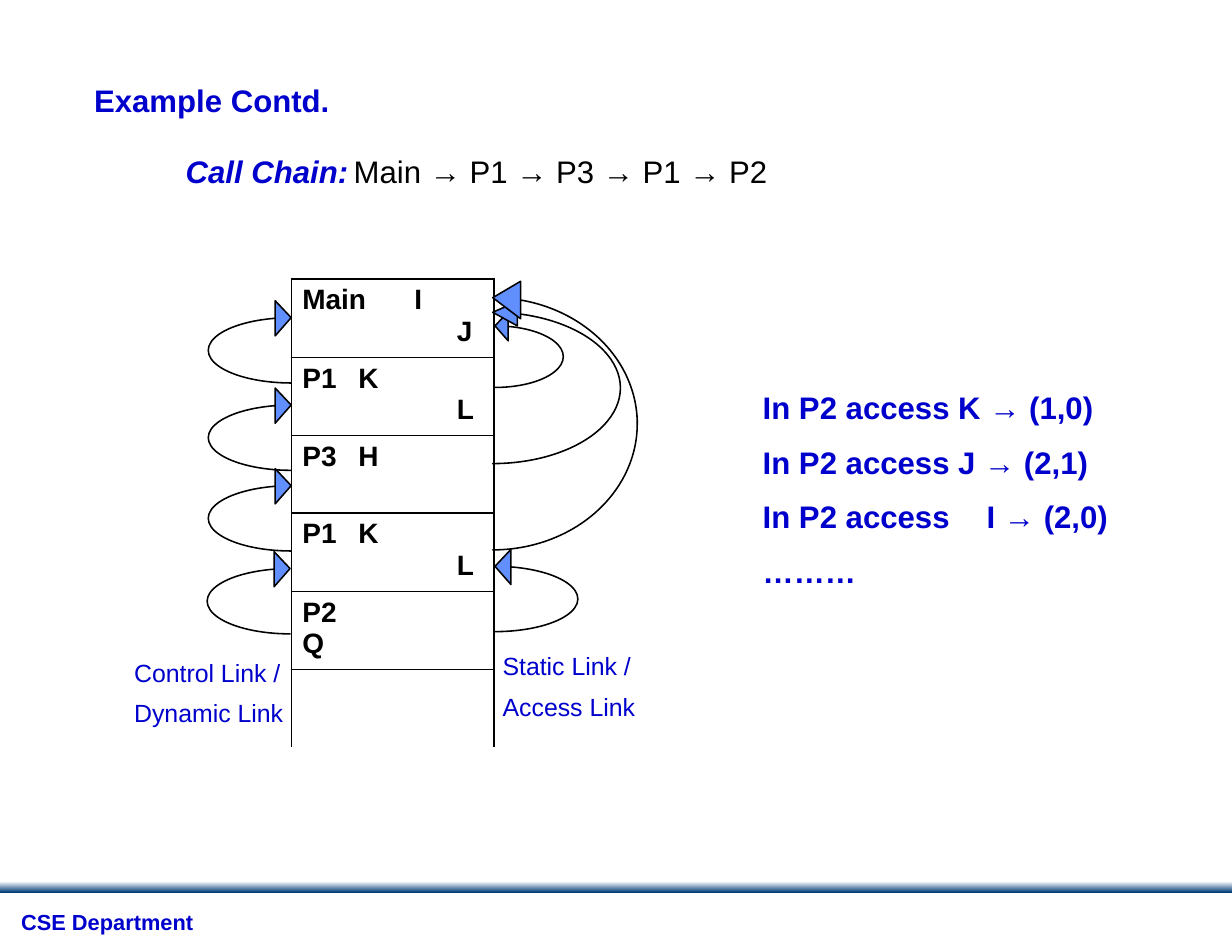
from dataclasses import dataclass

from lxml.etree import SubElement
from pptx import Presentation
from pptx.dml.color import RGBColor
from pptx.enum.shapes import MSO_SHAPE
from pptx.enum.text import MSO_ANCHOR, MSO_AUTO_SIZE, PP_ALIGN
from pptx.oxml.ns import qn
from pptx.util import Inches, Pt

BLUE = RGBColor(0x00, 0x00, 0xCC)
BLACK = RGBColor(0x00, 0x00, 0x00)
WHITE = RGBColor(0xFF, 0xFF, 0xFF)
NAVY = RGBColor(0x00, 0x3B, 0x76)
SKY = RGBColor(0x61, 0x8F, 0xFD)
FONT = "Arial"

WIDE, HIGH = Inches(11), Inches(8.5)
COL, ROW = WIDE // 110, HIGH // 85  # grid of 110 columns by 85 rows


@dataclass(frozen=True)
class Box:
    """A place on the grid, in columns and rows."""
    left: float
    top: float
    width: float
    height: float

    def emu(self) -> tuple:
        return (round(self.left * COL), round(self.top * ROW),
                round(self.width * COL), round(self.height * ROW))


@dataclass(frozen=True)
class Link:
    """A curved arrow from one frame of the stack to another."""
    box: Box
    head: float = 0.424
    right: bool = False


@dataclass(frozen=True)
class Frame:
    """An activation record: its name and its local variables."""
    name: str
    first: str = ""
    second: str = ""
    rows: float = 7


def write(par, text: str, size=20, color=BLUE, bold=False, italic=False,
          line=1.0, before=0.0, indent=0.0, tab=0.0) -> None:
    """Add a run to a paragraph; indent and tab are in columns."""
    run = par.add_run()
    run.text = text
    font = run.font
    font.name, font.size, font.color.rgb = FONT, Pt(size), color
    font.bold, font.italic = bold, italic
    par.alignment = PP_ALIGN.LEFT
    par.line_spacing, par.space_before = line, Pt(before)
    props = par._p.get_or_add_pPr()
    props.set("marL", str(round(indent * COL)))
    props.set("indent", "0")
    if props.find(qn("a:buNone")) is None:
        SubElement(props, qn("a:buNone"))
    if tab:
        stops = SubElement(props, qn("a:tabLst"))
        SubElement(stops, qn("a:tab"), pos=str(round(tab * COL)), algn="l")


def pad(item) -> None:
    """Set the margins of a text frame or a cell."""
    item.margin_left = item.margin_right = COL
    item.margin_top = item.margin_bottom = ROW // 2


def setup(shape, box: Box):
    """Move a text shape and return its plain text frame."""
    shape.left, shape.top, shape.width, shape.height = box.emu()
    text = shape.text_frame
    text.word_wrap = True
    text.auto_size = MSO_AUTO_SIZE.NONE
    text.vertical_anchor = MSO_ANCHOR.TOP
    pad(text)
    return text


def fill(text, lines: list, size=20, tab=0.0, **style) -> None:
    """Write one paragraph a line, with a gap of about half a line."""
    for num, line in enumerate(lines):
        par = text.add_paragraph() if num else text.paragraphs[0]
        write(par, line, size=size, before=0.55 * size if num else 0,
              tab=tab if "\t" in line else 0, **style)


def label(slide, box: Box):
    return setup(slide.shapes.add_textbox(*box.emu()), box)


def border(cell, sides: str) -> None:
    """Draw the named sides of a cell and clear the others."""
    props = cell._tc.get_or_add_tcPr()
    for side in "LRTB":
        edge = SubElement(props, qn(f"a:ln{side}"), w=str(int(Pt(1))))
        if side in sides:
            paint = SubElement(edge, qn("a:solidFill"))
            SubElement(paint, qn("a:srgbClr"), val=str(BLACK))
        else:
            SubElement(edge, qn("a:noFill"))


def stack(slide, box: Box, frames: list) -> None:
    table = slide.shapes.add_table(len(frames), 1, *box.emu()).table
    table.first_row = table.horz_banding = False
    for num, frame in enumerate(frames):
        table.rows[num].height = round(frame.rows * ROW)
        cell = table.cell(num, 0)
        pad(cell)
        border(cell, "LRTB" if frame.name else "LRT")
        cell.fill.solid()
        cell.fill.fore_color.rgb = WHITE
        style = dict(size=18, color=BLACK, bold=True)
        if frame.name:
            text = "\t".join(filter(None, (frame.name, frame.first)))
            write(cell.text_frame.paragraphs[0], text, tab=13.4, **style)
        if frame.second:
            write(cell.text_frame.add_paragraph(), frame.second,
                  indent=13.8 if frame.first else 0, **style)


def arrow(slide, link: Link) -> None:
    shape = slide.shapes.add_shape(MSO_SHAPE.CURVED_RIGHT_ARROW,
                                   *link.box.emu())
    shape.shadow.inherit = False
    for num, share in enumerate((0, link.head, 0.193)):
        shape.adjustments[num] = share
    shape.fill.solid()
    shape.fill.fore_color.rgb = SKY
    shape.line.color.rgb, shape.line.width = BLACK, Pt(1)
    frame = shape._element.spPr.find(qn("a:xfrm"))
    frame.set("flipV", "1")
    if link.right:
        frame.set("flipH", "1")


def footer(slide) -> None:
    bar = slide.shapes.add_shape(MSO_SHAPE.RECTANGLE,
                                 *Box(0, 78.7, 110, 1).emu())
    bar.shadow.inherit = False
    bar.line.fill.background()
    bar.fill.gradient()
    bar.fill.gradient_angle = 270
    for stop, color in zip(bar.fill.gradient_stops, (WHITE, NAVY)):
        stop.color.rgb = color
    fill(label(slide, Box(0.9, 80.9, 20, 3.3)), ["CSE Department"],
         size=14, bold=True, line=0.9)


FRAMES = [
    Frame("Main", "I", "J"),
    Frame("P1", "K", "L"),
    Frame("P3", "H", rows=6.9),
    Frame("P1", "K", "L"),
    Frame("P2", second="Q"),
    Frame("", rows=6.9),
]
CONTROL = [Link(Box(left, top, 7.4, 7.4)) for left, top in
           ((18.6, 26.8), (18.6, 34.6), (18.6, 41.8), (18.5, 49.2))]
STATIC = [
    Link(Box(44.2, 49, 7.4, 7.4), right=True),
    Link(Box(44.2, 27.8, 6.1, 6.8), right=True),
    Link(Box(44, 26.8, 11.4, 14.6), 0.191, True),
    Link(Box(44, 24.9, 12.9, 24.2), 0.26, True),
]


def main() -> None:
    deck = Presentation()
    deck.slide_width, deck.slide_height = WIDE, HIGH
    slide = deck.slides.add_slide(deck.slide_layouts[1])

    # Footer, title and call chain
    footer(slide)
    fill(setup(slide.shapes.title, Box(7.4, 7.1, 40, 4.1)),
         ["Example Contd."], bold=True, line=0.9)
    chain = label(slide, Box(15.6, 13.5, 60, 4.1)).paragraphs[0]
    write(chain, "Call Chain:", bold=True, italic=True, line=0.9, tab=16.8)
    write(chain, "\tMain → P1 → P3 → P1 → P2", color=BLACK, line=0.9)

    # Stack of frames with its links
    stack(slide, Box(26, 24.9, 18.1, 41.7), FRAMES)
    for link in CONTROL + STATIC:
        arrow(slide, link)
    fill(label(slide, Box(11, 58.5, 17, 7.2)),
         ["Control Link /", "Dynamic Link"], size=16, line=0.9)
    fill(label(slide, Box(43.9, 57.9, 16, 7.2)),
         ["Static Link /", "Access Link"], size=16, line=0.9)

    # Variable accesses
    fill(setup(slide.placeholders[1], Box(67.1, 34.2, 34, 19.5)),
         ["In P2 access K → (1,0)", "In P2 access J → (2,1)",
          "In P2 access\tI → (2,0)", "………"], bold=True, tab=18.1)

    deck.save("out.pptx")


if __name__ == "__main__":
    main()
